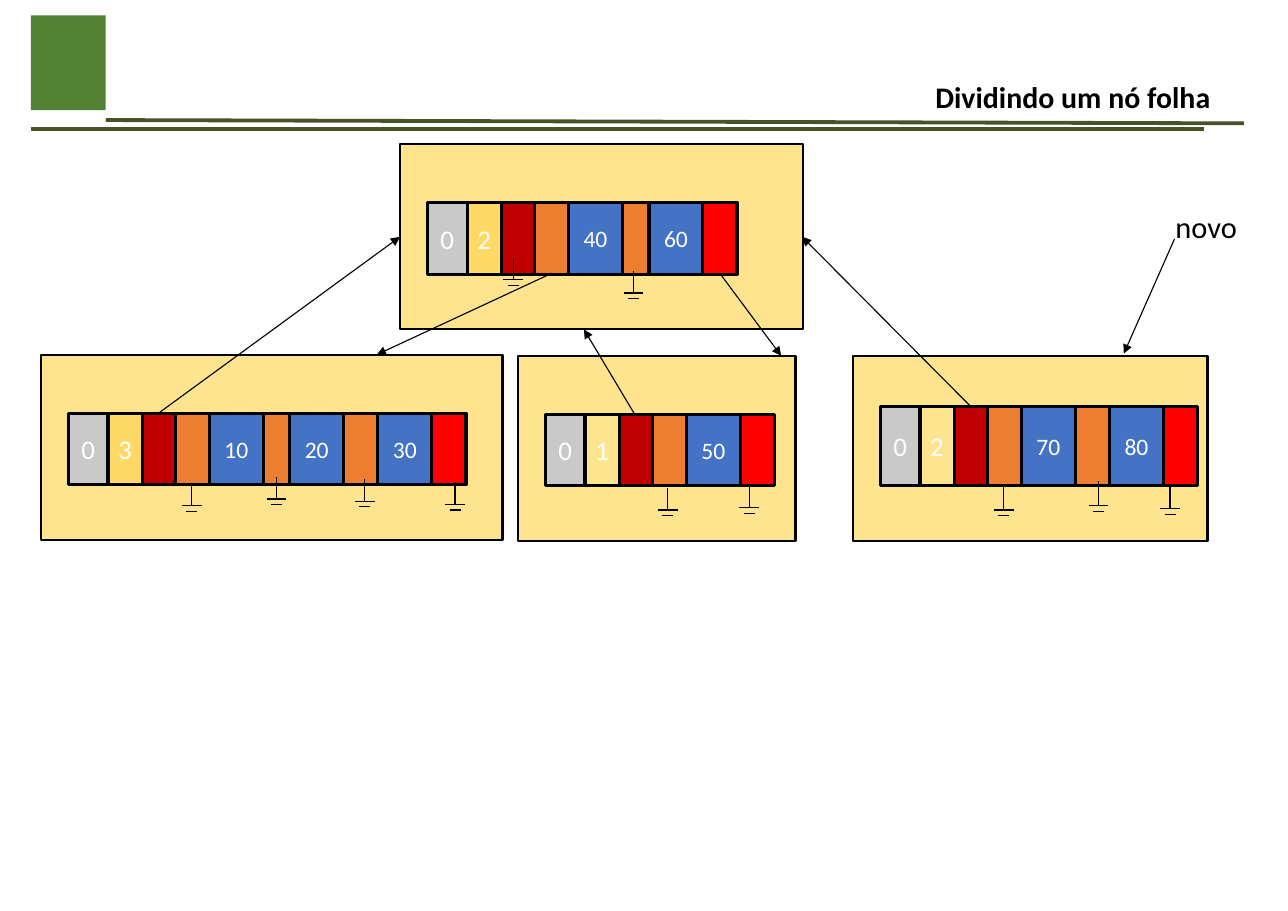
from dataclasses import dataclass
from typing import NamedTuple

from lxml.etree import SubElement
from pptx import Presentation
from pptx.dml.color import RGBColor as Rgb
from pptx.enum.shapes import MSO_CONNECTOR as Link, MSO_SHAPE as Form
from pptx.enum.text import MSO_ANCHOR as Anchor, PP_ALIGN as Align
from pptx.oxml.ns import qn
from pptx.shapes.autoshape import Shape
from pptx.slide import Slide
from pptx.text.text import TextFrame
from pptx.util import Inches, Pt

FONT = "Calibri"
HUES = {
    "frame": "FFE48F", "lock": "C9C9C9", "gold": "FFD966", "pale": "FFE48F",
    "parent": "C00000", "child": "ED7D31", "slim": "ED7D31", "key": "4472C4",
    "last": "FF0000", "badge": "548235", "rule": "485228",
    "black": "000000", "white": "FFFFFF",
}
WIDTHS = {
    "lock": 0.36, "gold": 0.31, "pale": 0.31, "parent": 0.3,
    "child": 0.31, "slim": 0.24, "key": 0.49, "last": 0.31,
}


class Cell(NamedTuple):
    kind: str
    text: str = ""


class Line(NamedTuple):
    x1: float
    y1: float
    x2: float
    y2: float


class Ground(NamedTuple):
    x: float
    y: float
    stem: float = 0.2


@dataclass
class Node:
    left: float
    top: float
    width: float
    row: float
    tall: float
    cells: list[Cell]


def head(tone: str, count: str) -> list[Cell]:
    return [Cell("lock", "0"), Cell(tone, count), Cell("parent"), Cell("child")]


NODES = [
    Node(0.37, 3.22, 4.19, 3.75, 0.65, head("gold", "3") + [
        Cell("key", "10"), Cell("slim"), Cell("key", "20"), Cell("child"),
        Cell("key", "30"), Cell("last")]),
    Node(4.7, 3.23, 2.52, 3.76, 0.65, head("pale", "1") + [
        Cell("key", "50"), Cell("last")]),
    Node(3.63, 1.31, 3.66, 1.84, 0.65, head("gold", "2") + [
        Cell("key", "40"), Cell("slim"), Cell("key", "60"), Cell("last")]),
    Node(7.74, 3.23, 3.22, 3.69, 0.72, head("pale", "2") + [
        Cell("key", "70"), Cell("child"), Cell("key", "80"), Cell("last")]),
]
ARROWS = [
    Line(1.44, 3.75, 3.63, 2.15), Line(5.76, 3.76, 5.3, 2.99),
    Line(6.54, 2.49, 7.09, 3.23), Line(5.01, 2.48, 3.42, 3.22),
    Line(10.66, 2.17, 10.2, 3.21), Line(8.81, 3.69, 7.28, 2.15),
]
GROUNDS = [
    Ground(4.66, 2.34), Ground(5.75, 2.46), Ground(1.74, 4.39),
    Ground(2.51, 4.33), Ground(3.31, 4.35), Ground(4.13, 4.38),
    Ground(6.06, 4.43), Ground(6.8, 4.41), Ground(9.11, 4.41, 0.22),
    Ground(10.62, 4.4, 0.22), Ground(9.97, 4.37, 0.22),
]
RULES = [Line(0.96, 1.09, 11.29, 1.12), Line(0.28, 1.17, 10.93, 1.17)]


def tint(name: str) -> Rgb:
    return Rgb.from_string(HUES[name])


def write(frame: TextFrame, text: str, size: float, hue: str,
          align: Align, bold: bool = False) -> None:
    frame.text = text
    para = frame.paragraphs[0]
    para.alignment = align
    font = para.font
    font.name, font.size, font.bold = FONT, Pt(size), bold
    font.color.rgb = tint(hue)


def draw_box(slide: Slide, left: float, top: float, width: float,
             height: float, hue: str, border: float = 0) -> Shape:
    box = slide.shapes.add_shape(Form.RECTANGLE, Inches(left), Inches(top),
                                 Inches(width), Inches(height))
    box.shadow.inherit = False
    box.fill.solid()
    box.fill.fore_color.rgb = tint(hue)
    if border:
        box.line.color.rgb = tint("black")
        box.line.width = Pt(border)
    else:
        box.line.fill.background()
    return box


def draw_line(slide: Slide, line: Line, hue: str = "black",
              weight: float = 0.75, arrow: bool = False) -> None:
    link = slide.shapes.add_connector(Link.STRAIGHT, *map(Inches, line))
    link.line.color.rgb = tint(hue)
    link.line.width = Pt(weight)
    props = link._element.spPr
    if arrow:
        SubElement(props.find(qn("a:ln")), qn("a:tailEnd"), type="triangle")
    SubElement(props, qn("a:effectLst"))


def draw_node(slide: Slide, node: Node) -> None:
    draw_box(slide, node.left, node.top, node.width, 1.68, "frame", 1.5)
    left = node.left + 0.25
    for cell in node.cells:
        width = WIDTHS[cell.kind]
        box = draw_box(slide, left, node.row, width, node.tall, cell.kind, 2)
        left += width
        if cell.text:
            frame = box.text_frame
            frame.margin_left = frame.margin_right = 0
            frame.vertical_anchor = Anchor.MIDDLE
            size = 15.4 if cell.kind == "key" else 17.6
            write(frame, cell.text, size, "white", Align.CENTER)


def draw_ground(slide: Slide, mark: Ground) -> None:
    x, y, stem = mark
    base = y + stem
    draw_line(slide, Line(x, y, x, base))
    for half, drop in ((0.09, 0), (0.05, 0.05)):
        draw_line(slide, Line(x - half, base + drop, x + half, base + drop))


def draw_title(slide: Slide) -> None:
    title = slide.shapes.title
    title.left, title.top = Inches(6.04), Inches(0.63)
    title.width, title.height = Inches(5.06), Inches(0.54)
    frame = title.text_frame
    frame.margin_left = frame.margin_right = Inches(0.11)
    frame.margin_top = frame.margin_bottom = Inches(0.06)
    frame.vertical_anchor = Anchor.MIDDLE
    write(frame, "Dividindo um nó folha", 19.5, "black", Align.RIGHT, True)
    frame.paragraphs[0].line_spacing = 0.9


def draw_label(slide: Slide) -> None:
    label = slide.shapes.add_textbox(Inches(10.57), Inches(1.84),
                                     Inches(0.76), Inches(0.44))
    label.text_frame.word_wrap = False
    write(label.text_frame, "novo", 19.9, "black", Align.LEFT)


def main() -> None:
    deck = Presentation()
    deck.slide_width, deck.slide_height = Inches(11.69), Inches(8.27)
    slide = deck.slides.add_slide(deck.slide_layouts[5])
    draw_box(slide, 0.28, 0.14, 0.68, 0.86, "badge")
    for rule in RULES:
        draw_line(slide, rule, "rule", 2.5)
    for node in NODES:
        draw_node(slide, node)
    for arrow in ARROWS:
        draw_line(slide, arrow, arrow=True)
    for mark in GROUNDS:
        draw_ground(slide, mark)
    draw_label(slide)
    draw_title(slide)
    deck.save("out.pptx")


if __name__ == "__main__":
    main()
